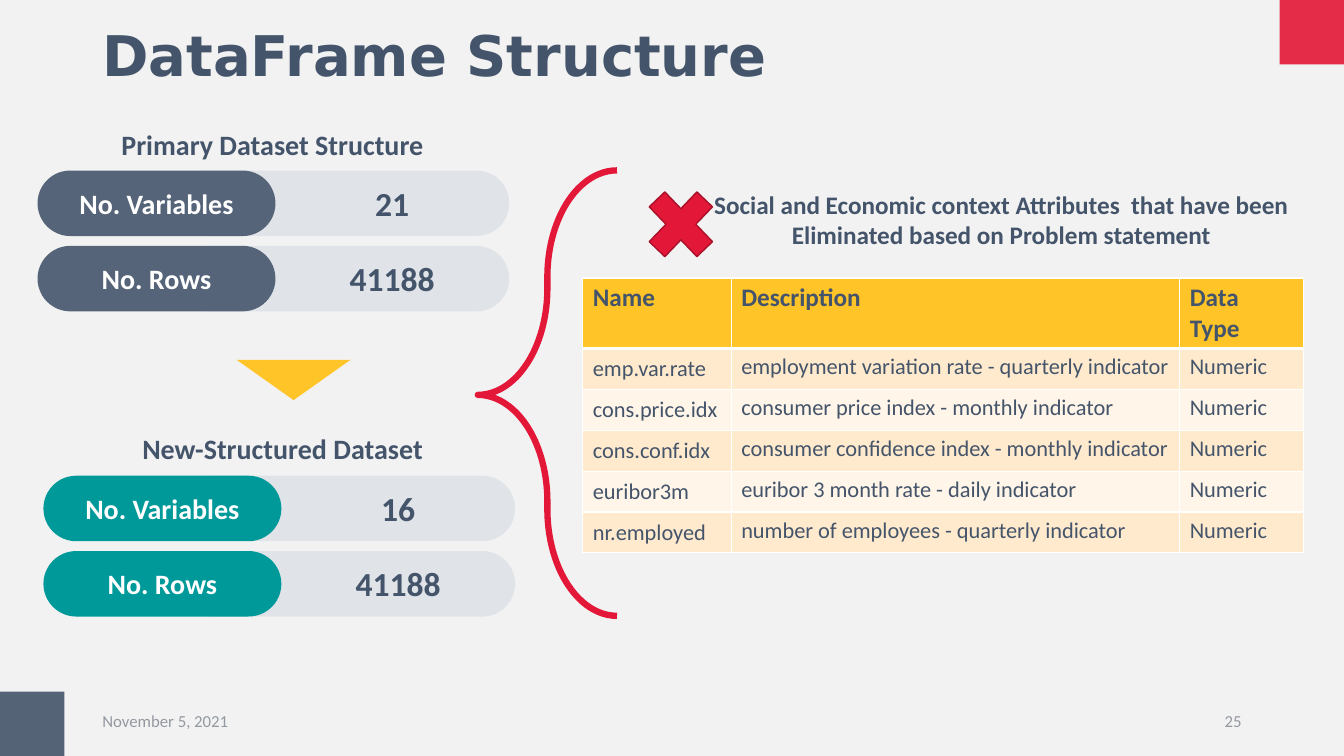
from dataclasses import dataclass

from lxml.etree import SubElement
from pptx import Presentation
from pptx.dml.color import RGBColor
from pptx.enum.shapes import MSO_SHAPE
from pptx.enum.text import MSO_ANCHOR, PP_ALIGN
from pptx.oxml.ns import qn
from pptx.util import Pt


@dataclass(frozen=True)
class Theme:
    background: str = "F2F2F2"
    slate: str = "44546A"
    pill: str = "556478"
    teal: str = "009999"
    track: str = "E0E3E8"
    red: str = "E31737"
    dark_red: str = "A81129"
    yellow: str = "FFC427"
    bands: tuple = ("FFF5E8", "FFEACD")
    white: str = "FFFFFF"
    muted: str = "9499A1"
    body_font: str = "Calibri"
    title_font: str = "DejaVu Sans"
    title: int = 40
    value: int = 24
    heading: int = 20
    note: int = 18
    cell: int = 16
    footer: int = 12


theme = Theme()


def write(tf, text, size=theme.heading, color=theme.slate, bold=True,
          font=theme.body_font, align=PP_ALIGN.CENTER, anchor=MSO_ANCHOR.MIDDLE):
    tf.word_wrap = True
    tf.vertical_anchor = anchor
    p = tf.paragraphs[0]
    p.alignment = align
    r = p.add_run()
    r.text = text
    r.font.name = font
    r.font.size = Pt(size)
    r.font.bold = bold
    r.font.color.rgb = RGBColor.from_string(color)
    return p


def add_shape(kind, box, fill=None, line=None, width=1):
    sp = s.shapes.add_shape(kind, *map(Pt, box))
    sp.shadow.inherit = False
    if fill:
        sp.fill.solid()
        sp.fill.fore_color.rgb = RGBColor.from_string(fill)
    else:
        sp.fill.background()
    if line:
        sp.line.color.rgb = RGBColor.from_string(line)
        sp.line.width = Pt(width)
    else:
        sp.line.fill.background()
    return sp


prs = Presentation()
prs.slide_width, prs.slide_height = Pt(960), Pt(540)
s = prs.slides.add_slide(prs.slide_layouts[6])
s.background.fill.solid()
s.background.fill.fore_color.rgb = RGBColor.from_string(theme.background)

# Corner squares, slightly transparent
for x, y, color in [(914, 0, theme.red), (0, 494, theme.slate)]:
    sp = add_shape(MSO_SHAPE.RECTANGLE, (x, y, 46, 46), color)
    rgb = sp.fill._xPr.find(qn("a:solidFill")).find(qn("a:srgbClr"))
    SubElement(rgb, qn("a:alpha"), val="90000")

# Title, footer, headings and note
footer = dict(size=theme.footer, color=theme.muted, bold=False)
top = dict(anchor=MSO_ANCHOR.TOP)
texts = [
    ((66, 10.8, 828, 61.2), "DataFrame Structure",
     dict(size=theme.title, font=theme.title_font, align=PP_ALIGN.LEFT)),
    ((66, 500.5, 216, 28.8), "November 5, 2021", dict(footer, align=PP_ALIGN.LEFT)),
    ((678, 500.5, 216, 28.8), "25", dict(footer, align=PP_ALIGN.RIGHT)),
    ((37.4, 87.8, 314.6, 31.5), "Primary Dataset Structure", top),
    ((44.6, 304.6, 314.6, 31.5), "New-Structured Dataset", top),
    ((493.2, 131.8, 444.2, 51), "Social and Economic context Attributes  that have been "
     "Eliminated based on Problem statement", dict(top, size=theme.note)),
]
for box, text, style in texts:
    p = write(s.shapes.add_textbox(*map(Pt, box)).text_frame, text, **style)
    if style.get("size") == theme.title:
        p.line_spacing = 0.9

# Dataset figures: a label pill over a pale track that holds the value
datasets = [
    (26.8, 121.8, theme.pill, [("No. Variables", "21"), ("No. Rows", "41188")]),
    (31, 339.8, theme.teal, [("No. Variables", "16"), ("No. Rows", "41188")]),
]
for x, y, color, figures in datasets:
    for i, (label, value) in enumerate(figures):
        row_y = y + 53.8 * i
        track = add_shape(MSO_SHAPE.ROUNDED_RECTANGLE, (x + 99.4, row_y, 237.6, 46.8), theme.track)
        pill = add_shape(MSO_SHAPE.ROUNDED_RECTANGLE, (x, row_y, 170, 46.8), color)
        for sp in (track, pill):
            sp.adjustments[0] = 0.5
        write(pill.text_frame, label, color=theme.white)
        tb = s.shapes.add_textbox(Pt(x + 181.4), Pt(row_y + 5), Pt(144), Pt(36))
        write(tb.text_frame, value, size=theme.value)

arrow = add_shape(MSO_SHAPE.ISOSCELES_TRIANGLE, (169, 257, 81.4, 28.8), theme.yellow)
arrow.rotation = 180

# Table of eliminated attributes
rows = [
    ("Name", "Description", "Data Type"),
    ("emp.var.rate", "employment variation rate - quarterly indicator", "Numeric"),
    ("cons.price.idx", "consumer price index - monthly indicator", "Numeric"),
    ("cons.conf.idx", "consumer confidence index - monthly indicator", "Numeric"),
    ("euribor3m", "euribor 3 month rate - daily indicator", "Numeric"),
    ("nr.employed", "number of employees - quarterly indicator", "Numeric"),
]
table = s.shapes.add_table(len(rows), 3, Pt(416.3), Pt(198.5), Pt(514.8), Pt(175.2)).table
for column, width in zip(table.columns, (106, 320.4, 88.4)):
    column.width = Pt(width)
for i, row in enumerate(rows):
    table.rows[i].height = Pt(29.2)
    header = i == 0
    for j, text in enumerate(row):
        cell = table.cell(i, j)
        tcPr = cell._tc.get_or_add_tcPr()
        for side in "LRTB":
            thick = (side == "B" and header) or (side == "T" and i == 1)
            ln = SubElement(tcPr, qn(f"a:ln{side}"), w=str(Pt(3 if thick else 1)))
            SubElement(SubElement(ln, qn("a:solidFill")), qn("a:srgbClr"), val=theme.white)
        cell.fill.solid()
        cell.fill.fore_color.rgb = RGBColor.from_string(theme.yellow if header else theme.bands[i % 2])
        write(cell.text_frame, text, size=theme.note if header else theme.cell,
              bold=header, align=PP_ALIGN.LEFT)
        cell.vertical_anchor = MSO_ANCHOR.MIDDLE if j == 0 and not header else MSO_ANCHOR.TOP

# Brace and cross
brace = add_shape(MSO_SHAPE.LEFT_BRACE, (341.3, 121.7, 99.4, 318.2), line=theme.red, width=4.5)
brace.adjustments[0] = 0.766
brace.adjustments[1] = 0.504
add_shape(MSO_SHAPE.MATH_MULTIPLY, (453.6, 126, 65.5, 68.4), theme.red, theme.dark_red)

prs.save("out.pptx")
